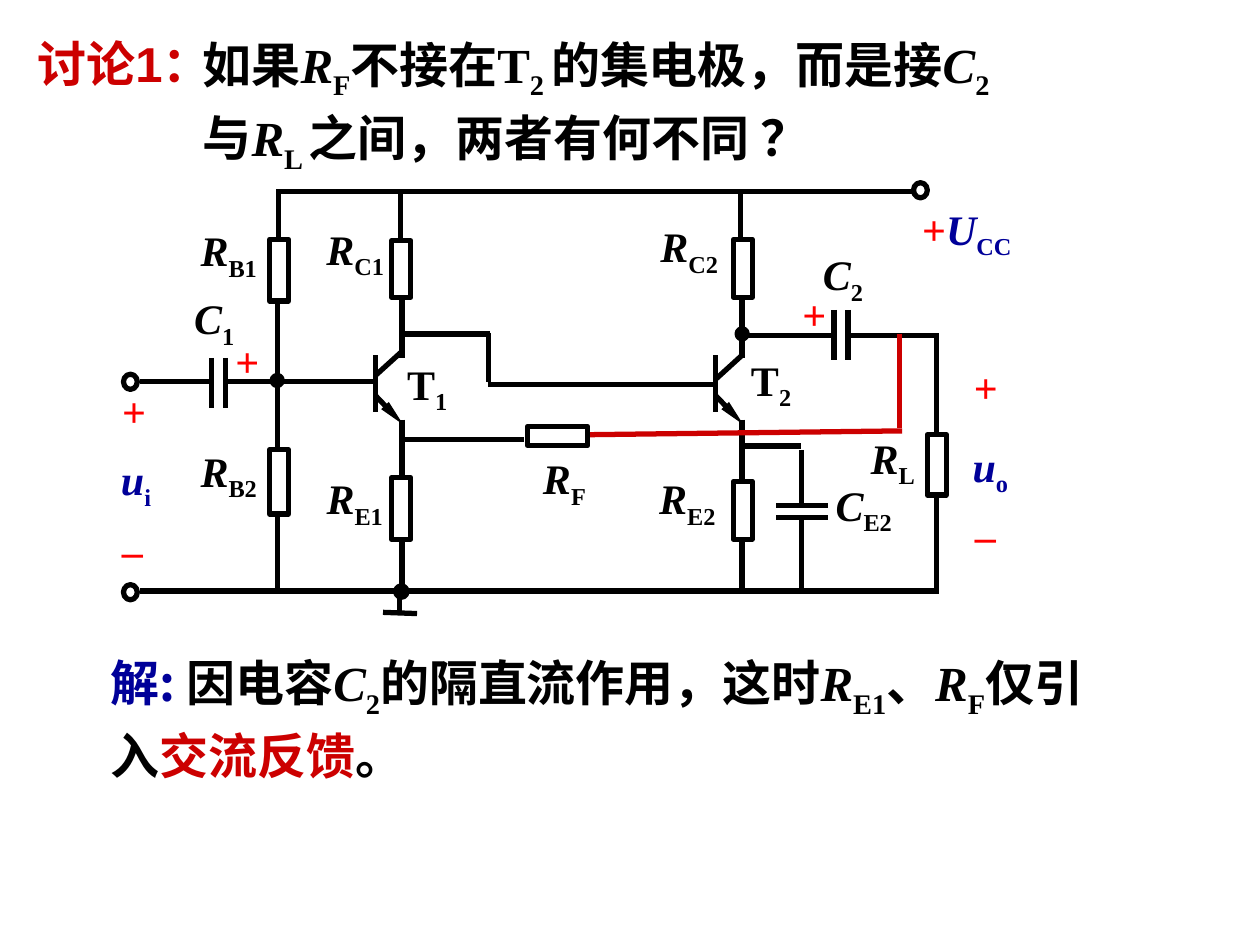
from lxml import etree
from pptx import Presentation
from pptx.dml.color import RGBColor
from pptx.enum import shapes, text
from pptx.oxml import ns
from pptx.util import Inches, Pt

COLORS = {"ink": "000000", "red": "CC0000", "sign": "FF0000", "blue": "000099"}
LATIN, CJK = "Times New Roman", "Noto Sans CJK SC"
STAGE_STEP = 2.7  # distance between the two amplifier stages


def rgb(name):
    return RGBColor.from_string(COLORS[name])


def add_text(slide, at, runs, size=24, color="ink", align=text.PP_ALIGN.CENTER,
             anchor=text.MSO_ANCHOR.MIDDLE, wrap=False, spacing=None):
    """Each run is (words, style[, color]); style is cjk, arial, var, sub or plain."""
    box = slide.shapes.add_textbox(*map(Inches, at))
    frame = box.text_frame
    frame.word_wrap = wrap
    frame.vertical_anchor = anchor
    paragraph = frame.paragraphs[0]
    paragraph.alignment = align
    if spacing:
        paragraph.line_spacing = spacing
    for words, style, *own_color in runs:
        run = paragraph.add_run()
        run.text = words
        font = run.font
        font.size, font.bold, font.italic = Pt(size), True, style == "var"
        font.color.rgb = rgb(own_color[0] if own_color else color)
        font.name = {"cjk": CJK, "arial": "Arial"}.get(style, LATIN)
        properties = run._r.get_or_add_rPr()
        etree.SubElement(properties, ns.qn("a:ea")).set("typeface", CJK)
        if style == "sub":
            properties.set("baseline", "-25000")


def add_wire(slide, x1, y1, x2, y2, color="ink", arrow=False):
    wire = slide.shapes.add_connector(
        shapes.MSO_CONNECTOR.STRAIGHT, *map(Inches, (x1, y1, x2, y2)))
    wire.line.color.rgb = rgb(color)
    wire.line.width = Pt(3)
    if arrow:
        head = etree.SubElement(wire.line._get_or_add_ln(), ns.qn("a:tailEnd"))
        for key, value in (("type", "triangle"), ("w", "sm"), ("len", "lg")):
            head.set(key, value)
    etree.SubElement(wire._element.spPr, ns.qn("a:effectLst"))


def add_part(slide, kind, at, filled=False, rotation=0):
    part = slide.shapes.add_shape(kind, *map(Inches, at))
    part.shadow.inherit = False
    part.rotation = rotation
    if filled:
        part.fill.solid()
        part.fill.fore_color.rgb = rgb("ink")
    else:
        part.fill.background()
    part.line.color.rgb = rgb("ink")
    part.line.width = Pt(3)


def add_transistor(slide, x, collector_y):
    add_wire(slide, x, 2.82, x, 3.27)
    add_wire(slide, x, collector_y, x + 0.22, collector_y - 0.2)
    add_wire(slide, x, 3.14, x + 0.22, 3.37, arrow=True)


def add_wires(slide):
    wires = [
        # supply and ground rails
        (2.21, 1.52, 7.26, 1.52), (1.11, 4.69, 7.45, 4.69),
        (3.17, 4.67, 3.17, 4.87), (3.04, 4.86, 3.31, 4.87),
        # input and base divider
        (1.11, 3.03, 1.67, 3.03), (1.78, 3.03, 2.99, 3.03),
        (2.21, 1.5, 2.21, 1.91), (2.2, 2.39, 2.2, 3.03),
        (2.2, 2.97, 2.2, 3.57), (2.2, 4.09, 2.2, 4.69),
        # link from the first stage to the second
        (3.18, 2.65, 3.89, 2.65), (3.88, 2.64, 3.88, 3.03),
        (3.87, 3.05, 5.7, 3.05),
        # emitter feedback, bypass branch
        (3.19, 3.49, 4.16, 3.49), (5.91, 3.54, 6.36, 3.54),
        (6.36, 3.57, 6.36, 4.02), (6.36, 4.12, 6.36, 4.69),
        # output and load
        (5.88, 2.66, 6.6, 2.66), (6.72, 2.66, 7.45, 2.66),
        (7.43, 2.67, 7.43, 3.45), (7.43, 3.94, 7.43, 4.71),
    ]
    # collector and emitter legs of both stages
    for x, emitter_end in ((3.19, 3.78), (3.19 + STAGE_STEP, 3.83)):
        wires += [(x - 0.01, 1.51, x - 0.01, 1.89), (x, 2.35, x, 2.84),
                  (x, 3.33, x, emitter_end), (x, 4.28, x, 4.71)]
    # capacitor plates
    wires += [(x, top, x, top + 0.4) for x, top in
              ((1.68, 2.84), (1.79, 2.84), (6.62, 2.46), (6.73, 2.46))]
    wires += [(6.16, y, 6.57, y) for y in (4.01, 4.11)]
    for wire in wires:
        add_wire(slide, *wire)
    # feedback path under discussion
    add_wire(slide, 7.14, 3.4, 7.14, 2.65, color="red")
    add_wire(slide, 7.16, 3.42, 4.67, 3.45, color="red")


def add_components(slide):
    for x, collector_y in ((2.98, 2.98), (2.98 + STAGE_STEP, 3.01)):
        add_transistor(slide, x, collector_y)
    resistors = [(2.14, 1.9, 0.49), (2.14, 3.57, 0.51), (3.11, 1.91, 0.45),
                 (3.11, 3.79, 0.49), (5.82, 1.9, 0.46), (5.82, 3.82, 0.46),
                 (7.36, 3.45, 0.48)]
    for left, top, height in resistors:
        add_part(slide, shapes.MSO_SHAPE.RECTANGLE, (left, top, 0.15, height))
    add_part(slide, shapes.MSO_SHAPE.RECTANGLE, (4.35, 3.22, 0.15, 0.48), rotation=270)
    for left, top in ((7.25, 1.45), (0.98, 2.97), (0.98, 4.64)):  # terminals
        add_part(slide, shapes.MSO_SHAPE.OVAL, (left, top, 0.11, 0.12))
    for left, top, size in ((3.14, 4.65, 0.09), (2.16, 2.98, 0.08), (5.85, 2.61, 0.08)):
        add_part(slide, shapes.MSO_SHAPE.OVAL, (left, top, size, size), filled=True)


def add_labels(slide):
    labels = [
        (1.49, 1.73, 0.65, "R", "B1"), (1.49, 3.48, 0.65, "R", "B2"),
        (2.49, 1.72, 0.66, "R", "C1"), (2.49, 3.7, 0.65, "R", "E1"),
        (5.14, 1.7, 0.66, "R", "C2"), (5.13, 3.7, 0.65, "R", "E2"),
        (4.21, 3.54, 0.54, "R", "F"), (6.81, 3.38, 0.55, "R", "L"),
        (1.44, 2.27, 0.52, "C", "1"), (6.43, 1.92, 0.52, "C", "2"),
        (6.53, 3.75, 0.65, "C", "E2"), (3.13, 2.79, 0.52, "T", "1"),
        (5.86, 2.76, 0.52, "T", "2"), (0.86, 3.55, 0.44, "u", "i"),
        (7.62, 3.44, 0.48, "u", "o"),
    ]
    for left, top, width, symbol, index in labels:
        add_text(slide, (left, top, width, 0.56),
                 [(symbol, "plain" if symbol == "T" else "var"), (index, "sub")],
                 color="blue" if symbol == "u" else "ink")
    add_text(slide, (7.22, 1.56, 0.91, 0.56),
             [("+", "plain", "sign"), ("U", "var"), ("CC", "sub")],
             color="blue", align=text.PP_ALIGN.LEFT)
    # polarity signs
    for left, top, sign in ((1.77, 2.61, "+"), (0.87, 3.01, "+"), (0.86, 4.11, "–"),
                            (6.27, 2.24, "+"), (7.63, 2.82, "+"), (7.63, 3.99, "–")):
        add_text(slide, (left, top, 0.38, 0.5), [(sign, "plain")], color="sign")


def add_passages(slide):
    passage = dict(size=28, align=text.PP_ALIGN.LEFT, wrap=True)
    body = dict(passage, anchor=text.MSO_ANCHOR.TOP, spacing=1.1)
    add_text(slide, (0.2, 0.2, 1.85, 0.6), [("讨论1：", "arial")], color="red", **passage)
    add_text(slide, (1.51, 0.17, 6.82, 1.27), [
        ("如果", "cjk"), ("R", "var"), ("F", "sub"), ("不接在", "cjk"),
        ("T", "plain"), ("2 ", "sub"), ("的集电极，而是接", "cjk"),
        ("C", "var"), ("2", "sub"), ("与", "cjk"), ("R", "var"), ("L ", "sub"),
        ("之间，两者有何不同 ？", "cjk")], **body)
    add_text(slide, (0.78, 5.08, 7.99, 1.2), [
        ("解: ", "cjk", "blue"), ("因电容", "cjk"), ("C", "var"), ("2", "sub"),
        ("的隔直流作用，这时", "cjk"), ("R", "var"), ("E1", "sub"), ("、", "plain"),
        ("R", "var"), ("F", "sub"), ("仅引入", "cjk"),
        ("交流反馈", "cjk", "red"), ("。", "cjk")], **body)


def main():
    deck = Presentation()
    deck.slide_width, deck.slide_height = Inches(10), Inches(7.5)
    slide = deck.slides.add_slide(deck.slide_layouts[6])
    add_passages(slide)
    add_wires(slide)
    add_components(slide)
    add_labels(slide)
    deck.save("out.pptx")


if __name__ == "__main__":
    main()
